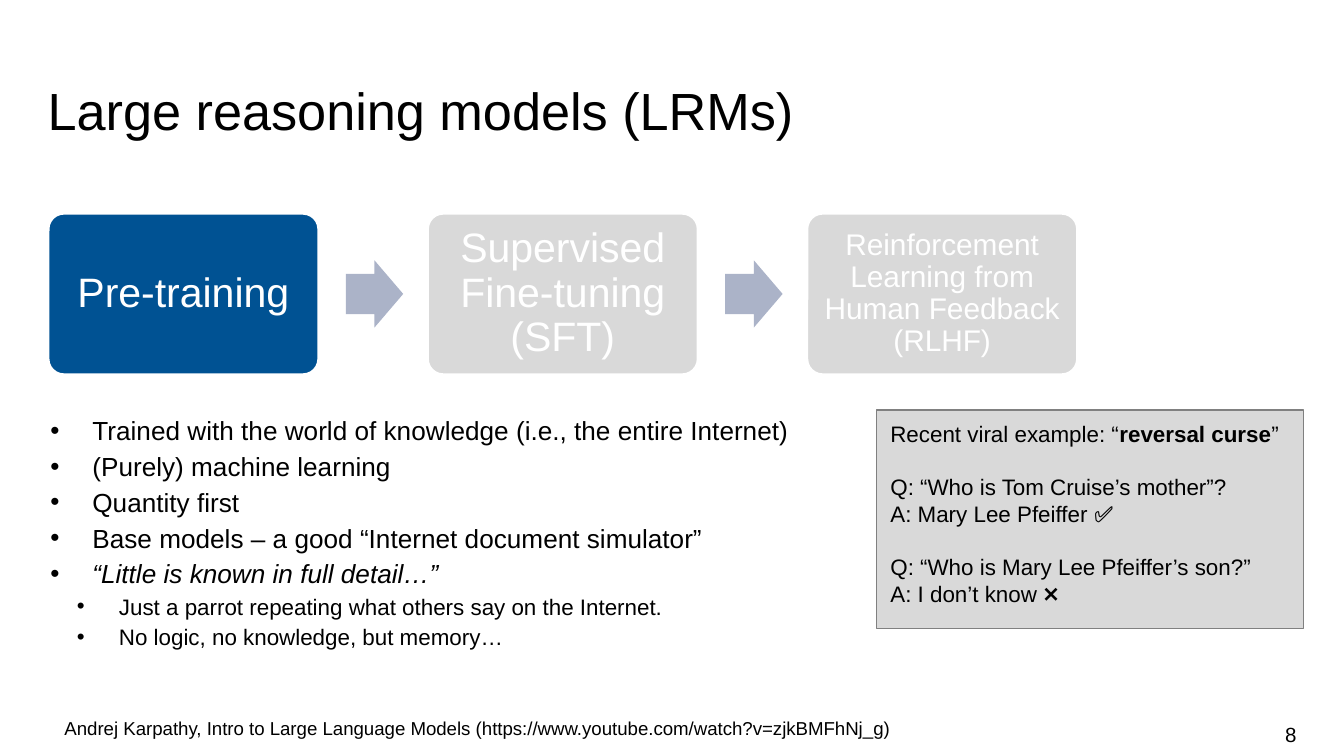
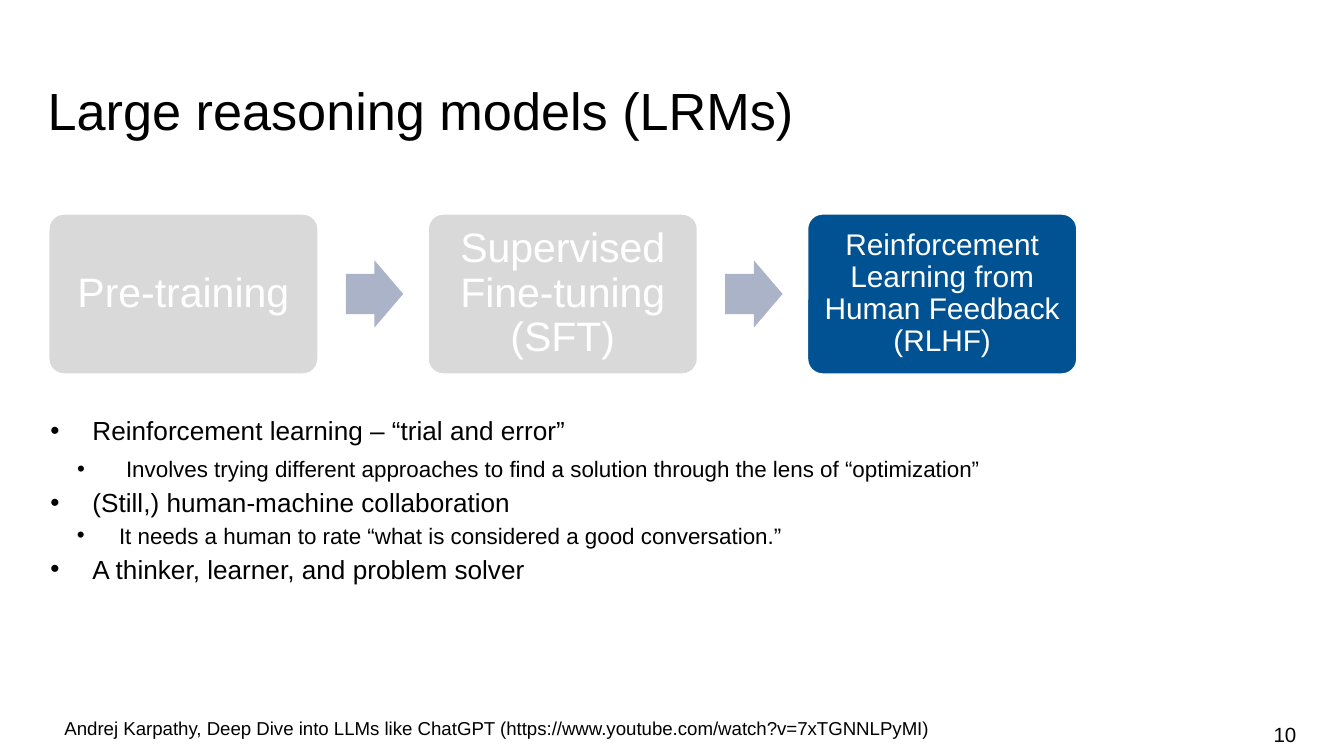
from lxml.etree import SubElement as Sub
from pptx import Presentation as Deck
from pptx.dml.color import RGBColor as RGB
from pptx.enum.shapes import MSO_SHAPE as Form
from pptx.enum.text import MSO_ANCHOR as Anchor, PP_ALIGN as Align
from pptx.oxml.ns import qn
from pptx.util import Pt

SCALE = 9525
HUE = {"ink": "000000", "white": "FFFFFF", "blue": "005293",
       "grey": "D9D9D9", "arrow": "ABB3C8", "edge": "808080"}
STEPS = [("Pre-training", 22, 9), ("Supervised Fine-tuning (SFT)", 22, 9),
         ("Reinforcement Learning from Human Feedback (RLHF)", 16, 7)]
SIZES = (14, 12)


def px(*nums):
    return [n * SCALE for n in nums]


def hue(name):
    return RGB.from_string(HUE[name])


def write(frame, paras, size=12, color="ink", align=Align.LEFT,
          anchor=Anchor.TOP, inset=(10, 5, 10, 5), lead=None):
    frame.word_wrap = True
    frame.vertical_anchor = anchor
    (frame.margin_left, frame.margin_top,
     frame.margin_right, frame.margin_bottom) = px(*inset)
    for n, item in enumerate(paras):
        para = frame.paragraphs[0] if n == 0 else frame.add_paragraph()
        item = item if isinstance(item, dict) else {"text": item}
        para.alignment = align
        para.line_spacing = lead
        if "level" in item:
            mark(para, item["level"], item.get("push", 0))
        if "gap" in item:
            para.space_before = Pt(item["gap"])
        runs = item["text"]
        for part in [runs] if isinstance(runs, str) else runs:
            text, bold = part if isinstance(part, tuple) else (part, False)
            run = para.add_run()
            run.text = text
            font = run.font
            font.name, font.size = "Arial", Pt(item.get("size", size))
            font.bold, font.italic = bold, item.get("italic", False)
            font.color.rgb = hue(color)


def mark(para, level, push):
    para.level = level
    prop = para._p.get_or_add_pPr()
    prop.set("marL", str((30 + 19 * level + push) * SCALE))
    prop.set("indent", str(-(30 + push) * SCALE))
    Sub(prop, qn("a:buFont")).set("typeface", "Arial")
    Sub(prop, qn("a:buChar")).set("char", "•")


def point(text, level=0, **look):
    return {"text": text, "level": level, "size": SIZES[level], **look}


class Page:
    """Hold the deck style and the current slide."""

    def __init__(self, deck):
        self.deck = deck

    def start(self, title, number):
        self.slide = self.deck.slides.add_slide(self.deck.slide_layouts[5])
        self.shapes = self.slide.shapes
        head = self.shapes.title
        head.left, head.top, head.width, head.height = px(34, 58, 894, 43)
        write(head.text_frame, [title], size=28, inset=(0, 0, 0, 0), lead=Pt(32))
        self.label((711, 510, 215, 29), [number], size=11, align=Align.RIGHT,
                   anchor=Anchor.MIDDLE, inset=(0, 5, 0, 5))

    def label(self, box, paras, **look):
        write(self.shapes.add_textbox(*px(*box)).text_frame, paras, **look)

    def block(self, form, box, fill, edge=None, width=1, adjust=()):
        shape = self.shapes.add_shape(form, *px(*box))
        shape.shadow.inherit = False
        shape.fill.solid()
        shape.fill.fore_color.rgb = hue(fill)
        if edge:
            shape.line.color.rgb = hue(edge)
            shape.line.width = Pt(width)
        else:
            shape.line.fill.background()
        for n, value in enumerate(adjust):
            shape.adjustments[n] = value
        return shape.text_frame

    def steps(self, active):
        for n, (text, size, pad) in enumerate(STEPS):
            left = 34 + 271 * n
            if n:
                self.block(Form.RIGHT_ARROW, (left - 58, 186, 41, 48), "arrow",
                           adjust=[0.6, 0.5])
            frame = self.block(Form.ROUNDED_RECTANGLE, (left, 152, 194, 116),
                               "blue" if n == active else "grey",
                               "white", 2, [0.1])
            write(frame, [text], size=size, color="white", align=Align.CENTER,
                  anchor=Anchor.MIDDLE, inset=[pad] * 4, lead=0.9)

    def points(self, width, items):
        self.label((36, 293, width, 190), items, inset=(0, 0, 0, 0), lead=1.14)

    def source(self, text):
        self.label((36, 505, 678, 27), [text], size=10, lead=1.14)

    def panel(self, paras):
        frame = self.block(Form.RECTANGLE, (626, 293, 305, 156), "grey", "edge", 0.75)
        write(frame, paras, inset=(10, 7, 0, 5))


def main():
    deck = Deck()
    deck.slide_width, deck.slide_height = px(960, 540)
    page = Page(deck)
    title = "Large reasoning models (LRMs)"

    page.start(title, "8")
    page.steps(0)
    page.points(558, [
        point("Trained with the world of knowledge (i.e., the entire Internet)"),
        point("(Purely) machine learning"),
        point("Quantity first"),
        point("Base models – a good “Internet document simulator”"),
        point("“Little is known in full detail…”", italic=True),
        point("Just a parrot repeating what others say on the Internet.", 1),
        point("No logic, no knowledge, but memory…", 1),
    ])
    page.source("Andrej Karpathy, Intro to Large Language Models "
                "(https://www.youtube.com/watch?v=zjkBMFhNj_g)")
    page.panel([
        {"text": ["Recent viral example: “", ("reversal curse", True), "”"]},
        {"text": "Q: “Who is Tom Cruise’s mother”?", "gap": 14},
        "A: Mary Lee Pfeiffer ✅",
        {"text": "Q: “Who is Mary Lee Pfeiffer’s son?”", "gap": 14},
        "A: I don’t know ❌",
    ])

    page.start(title, "10")
    page.steps(2)
    page.points(709, [
        point("Reinforcement learning – “trial and error”"),
        point("Involves trying different approaches to find a solution "
              "through the lens of “optimization”", 1, push=5, gap=3),
        point("(Still,) human-machine collaboration"),
        point("It needs a human to rate “what is considered a good conversation.”", 1),
        point("A thinker, learner, and problem solver"),
    ])
    page.source("Andrej Karpathy, Deep Dive into LLMs like ChatGPT "
                "(https://www.youtube.com/watch?v=7xTGNNLPyMI)")
    deck.save("out.pptx")


if __name__ == "__main__":
    main()
